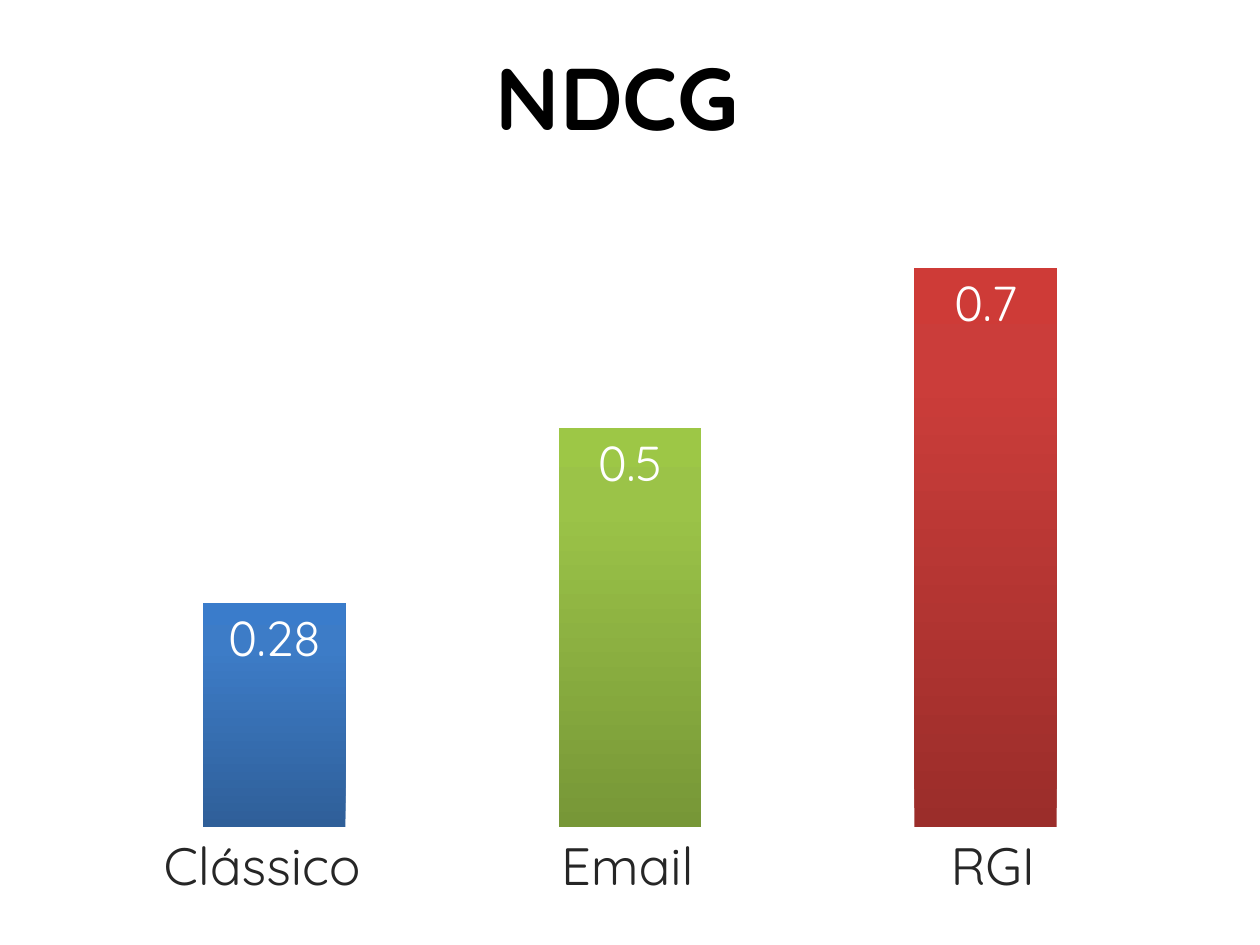
from copy import deepcopy
from dataclasses import dataclass

from lxml import etree
from pptx import Presentation
from pptx.chart.data import CategoryChartData
from pptx.dml.color import RGBColor
from pptx.enum.chart import XL_CHART_TYPE, XL_LABEL_POSITION
from pptx.enum.text import MSO_AUTO_SIZE, PP_ALIGN
from pptx.oxml.ns import qn
from pptx.util import Inches, Pt

COLUMNS = XL_CHART_TYPE.COLUMN_CLUSTERED
INSIDE_END = XL_LABEL_POSITION.INSIDE_END
GROW = MSO_AUTO_SIZE.SHAPE_TO_FIT_TEXT
CENTER = PP_ALIGN.CENTER


@dataclass(frozen=True)
class Theme:
    font: str = "Quicksand"
    title_color: str = "000000"
    method_color: str = "262626"
    value_color: str = "FFFFFF"
    title_size: int = 50
    method_size: int = 30
    value_size: int = 28
    stops: tuple = (0, 0.8, 1)
    bars: tuple = (
        ("2F5F99", "3D7CC7", "3A7CCB"),
        ("779737", "9BC348", "9DC746"),
        ("9B2D2A", "CB3D3A", "CE3B37"),
    )


@dataclass(frozen=True)
class Box:
    left: float
    top: float
    width: float
    height: float


THEME = Theme()
SLIDE_WIDTH, SLIDE_HEIGHT = Inches(10), Inches(7.5)
SCORES = {"Clássico": 0.28, "Email": 0.5, "RGI": 0.7}


def placed(box):
    """Turn shares of the slide into lengths."""
    return (int(box.left * SLIDE_WIDTH), int(box.top * SLIDE_HEIGHT),
            int(box.width * SLIDE_WIDTH), int(box.height * SLIDE_HEIGHT))


def style_font(font, size, color, bold=False):
    font.name = THEME.font
    font.size = Pt(size)
    font.bold = bold
    font.color.rgb = RGBColor.from_string(color)


def add_label(slide, box, text, size, color, bold=False):
    frame = slide.shapes.add_textbox(*placed(box)).text_frame
    frame.word_wrap = True
    frame.auto_size = GROW
    paragraph = frame.paragraphs[0]
    paragraph.text = text
    paragraph.alignment = CENTER
    style_font(paragraph.font, size, color, bold)


def fill_bar(point, colors):
    """Shade a bar from its foot upwards with three stops."""
    fill = point.format.fill
    fill.gradient()
    fill.gradient_angle = 90
    stop_list = point._element.findall(".//" + qn("a:gsLst"))[-1]
    stop_list.append(deepcopy(stop_list[-1]))
    for stop, position, color in zip(fill.gradient_stops, THEME.stops, colors):
        stop.position = position
        stop.color.rgb = RGBColor.from_string(color)


def fix_plot_area(chart, margin):
    """Keep the same margin, as a share of the chart, on all sides."""
    plot_area = chart._chartSpace.chart.plotArea
    for old in plot_area.findall(qn("c:layout")):
        plot_area.remove(old)
    layout = etree.Element(qn("c:layout"))
    manual = etree.SubElement(layout, qn("c:manualLayout"))
    extent = 1 - 2 * margin
    for tag, value in (("layoutTarget", "inner"), ("xMode", "edge"), ("yMode", "edge"),
                       ("x", margin), ("y", margin), ("w", extent), ("h", extent)):
        etree.SubElement(manual, qn("c:" + tag)).set("val", str(value))
    plot_area.insert(0, layout)


def add_score_chart(slide, box):
    data = CategoryChartData()
    data.categories = list(SCORES)
    data.add_series("NDCG", SCORES.values())
    chart = slide.shapes.add_chart(COLUMNS, *placed(box), data).chart
    chart.has_title = False
    chart.has_legend = False
    style_font(chart.font, THEME.value_size, THEME.title_color)
    fix_plot_area(chart, 0.02)

    for axis in (chart.category_axis, chart.value_axis):
        axis.has_major_gridlines = False
        axis.visible = False
    chart.value_axis.minimum_scale = 0
    chart.value_axis.maximum_scale = 0.8

    plot = chart.plots[0]
    plot.gap_width = 150
    plot.overlap = 100
    plot.vary_by_categories = False
    series = plot.series[0]
    series.invert_if_negative = False
    for index, colors in enumerate(THEME.bars):
        fill_bar(series.points[index], colors)

    values = series.data_labels
    values.show_value = True
    values.position = INSIDE_END
    style_font(values.font, THEME.value_size, THEME.value_color)


def add_method_row(slide, box):
    column = box.width / len(SCORES)
    for index, method in enumerate(SCORES):
        cell = Box(box.left + index * column, box.top, column, box.height)
        add_label(slide, cell, method, THEME.method_size, THEME.method_color)


def build_slide(slide):
    add_score_chart(slide, Box(0.059, 0.185, 0.882, 0.704))
    add_method_row(slide, Box(0.063, 0.875, 0.87, 0.081))
    add_label(slide, Box(0.185, 0.039, 0.61, 0.125), "NDCG",
              THEME.title_size, THEME.title_color, bold=True)


def main():
    presentation = Presentation()
    presentation.slide_width, presentation.slide_height = SLIDE_WIDTH, SLIDE_HEIGHT
    build_slide(presentation.slides.add_slide(presentation.slide_layouts[6]))
    presentation.save("out.pptx")


if __name__ == "__main__":
    main()
